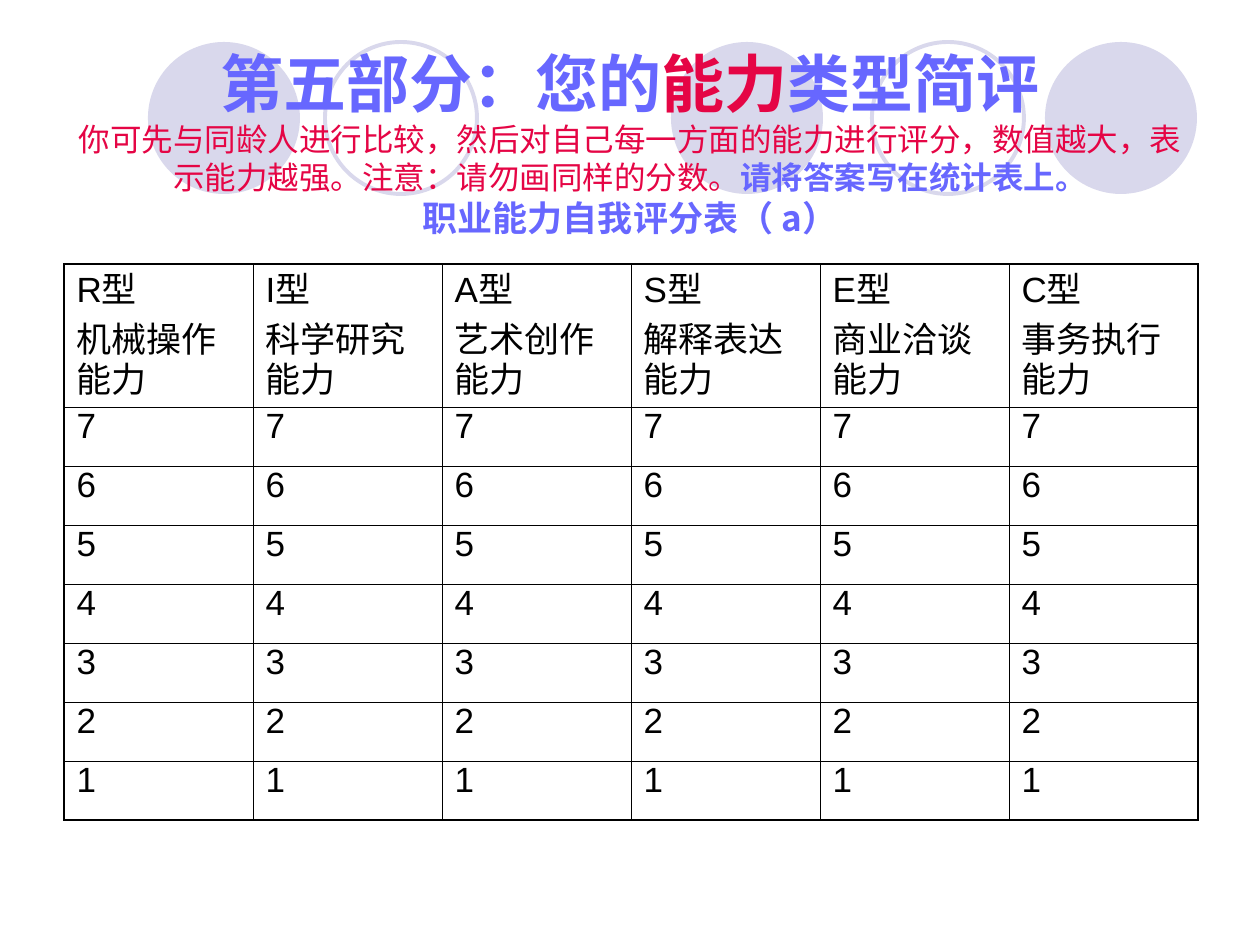
from dataclasses import dataclass

from lxml.etree import SubElement
from pptx import Presentation
from pptx.dml.color import RGBColor
from pptx.enum.shapes import MSO_SHAPE
from pptx.enum.text import MSO_ANCHOR, PP_ALIGN
from pptx.oxml.ns import qn
from pptx.util import Emu, Pt


@dataclass(frozen=True)
class Theme:
    blue: str = "6767FF"
    red: str = "E50545"
    black: str = "000000"
    circle: str = "D9D8EC"
    latin: str = "Arial"
    cjk: str = "Noto Sans CJK SC"
    title: int = 36
    intro: int = 18
    body: int = 20
    ring: float = 2.25
    outer: float = 1.08
    inner: float = 0.45


T = Theme()

# Each heading line: (text, size, colour, bold, font) per run
HEADING = [
    [("第五部分：您的", T.title, T.blue, True, T.latin),
     ("能力", T.title, T.red, True, T.latin),
     ("类型简评", T.title, T.blue, True, T.latin)],
    [("你可先与同龄人进行比较，然后对自己每一方面的能力进行评分，数值越大，"
      "表示能力越强。注意：请勿画同样的分数。", T.intro, T.red, False, T.latin),
     ("请将答案写在统计表上。", T.intro, T.blue, True, T.cjk)],
    [("职业能力自我评分表（ a）", T.body, T.blue, True, T.cjk)],
]
ABILITIES = [
    ("R型", "机械操作能力"),
    ("I型", "科学研究能力"),
    ("A型", "艺术创作能力"),
    ("S型", "解释表达能力"),
    ("E型", "商业洽谈能力"),
    ("C型", "事务执行能力"),
]
SCORES = range(7, 0, -1)

# Lengths in px, 126 to the inch
CIRCLES = [(671, True), (1045, True), (148, True), (872, False), (325, False)]
CIRCLE_TOP, CIRCLE_SIZE = 42, 152
HEADING_BOX = (63, 38, 1134, 207)
TABLE_LEFT, TABLE_TOP = 64, 264
COL_W, HEAD_H, SCORE_H = 189, 143, 59


def px(n):
    return Emu(round(n * 914400 / 126))


def style(font, size, color, bold, name):
    font.size, font.bold, font.name = Pt(size), bold, name
    font.color.rgb = RGBColor.from_string(color)
    SubElement(font._rPr, qn("a:ea"), typeface=T.cjk)


def add_circle(slide, left, solid):
    sp = slide.shapes.add_shape(MSO_SHAPE.OVAL, px(left), px(CIRCLE_TOP),
                                px(CIRCLE_SIZE), px(CIRCLE_SIZE))
    sp.shadow.inherit = False
    color = RGBColor.from_string(T.circle)
    if solid:
        sp.fill.solid()
        sp.fill.fore_color.rgb = color
        sp.line.fill.background()
    else:
        sp.fill.background()
        sp.line.color.rgb = color
        sp.line.width = Pt(T.ring)


def add_heading(slide):
    tf = slide.shapes.add_textbox(*map(px, HEADING_BOX)).text_frame
    tf.word_wrap = True
    tf.vertical_anchor = MSO_ANCHOR.MIDDLE
    p = tf.paragraphs[0]
    p.alignment = PP_ALIGN.CENTER
    p.line_spacing = 1.0
    for i, line in enumerate(HEADING):
        if i:
            p.add_line_break()
        for text, *look in line:
            r = p.add_run()
            r.text = text
            style(r.font, *look)


def set_borders(cell, widths):
    """Draw the left, right, top and bottom borders in the given point widths."""
    tcPr = cell._tc.get_or_add_tcPr()
    for side, width in zip("LRTB", widths):
        ln = SubElement(tcPr, qn(f"a:ln{side}"), w=str(Pt(width)))
        fill = SubElement(ln, qn("a:solidFill"))
        SubElement(fill, qn("a:srgbClr"), val=T.black)


def fill_cell(cell, lines):
    tf = cell.text_frame
    tf.text = "\n".join(lines)
    for p in tf.paragraphs:
        p.line_spacing = 0.8
        p.space_before = Pt(5)
        style(p.font, T.body, T.black, False, T.latin)


def add_score_table(slide):
    rows = [ABILITIES] + [[(str(n),)] * len(ABILITIES) for n in SCORES]
    heights = [HEAD_H] + [SCORE_H] * len(SCORES)
    n_rows, n_cols = len(rows), len(ABILITIES)
    table = slide.shapes.add_table(
        n_rows, n_cols, px(TABLE_LEFT), px(TABLE_TOP),
        px(COL_W * n_cols), px(sum(heights))).table
    table.first_row = table.horz_banding = False
    for col in table.columns:
        col.width = px(COL_W)
    for i, (row, height) in enumerate(zip(rows, heights)):
        table.rows[i].height = px(height)
        for j, lines in enumerate(row):
            cell = table.cell(i, j)
            fill_cell(cell, lines)
            edges = (j == 0, j == n_cols - 1, i == 0, i == n_rows - 1)
            set_borders(cell, [T.outer if e else T.inner for e in edges])
            cell.fill.background()


def main():
    prs = Presentation()
    prs.slide_width, prs.slide_height = px(1260), px(945)
    s = prs.slides.add_slide(prs.slide_layouts[6])
    for left, solid in CIRCLES:
        add_circle(s, left, solid)
    add_heading(s)
    add_score_table(s)
    prs.save("out.pptx")


if __name__ == "__main__":
    main()
